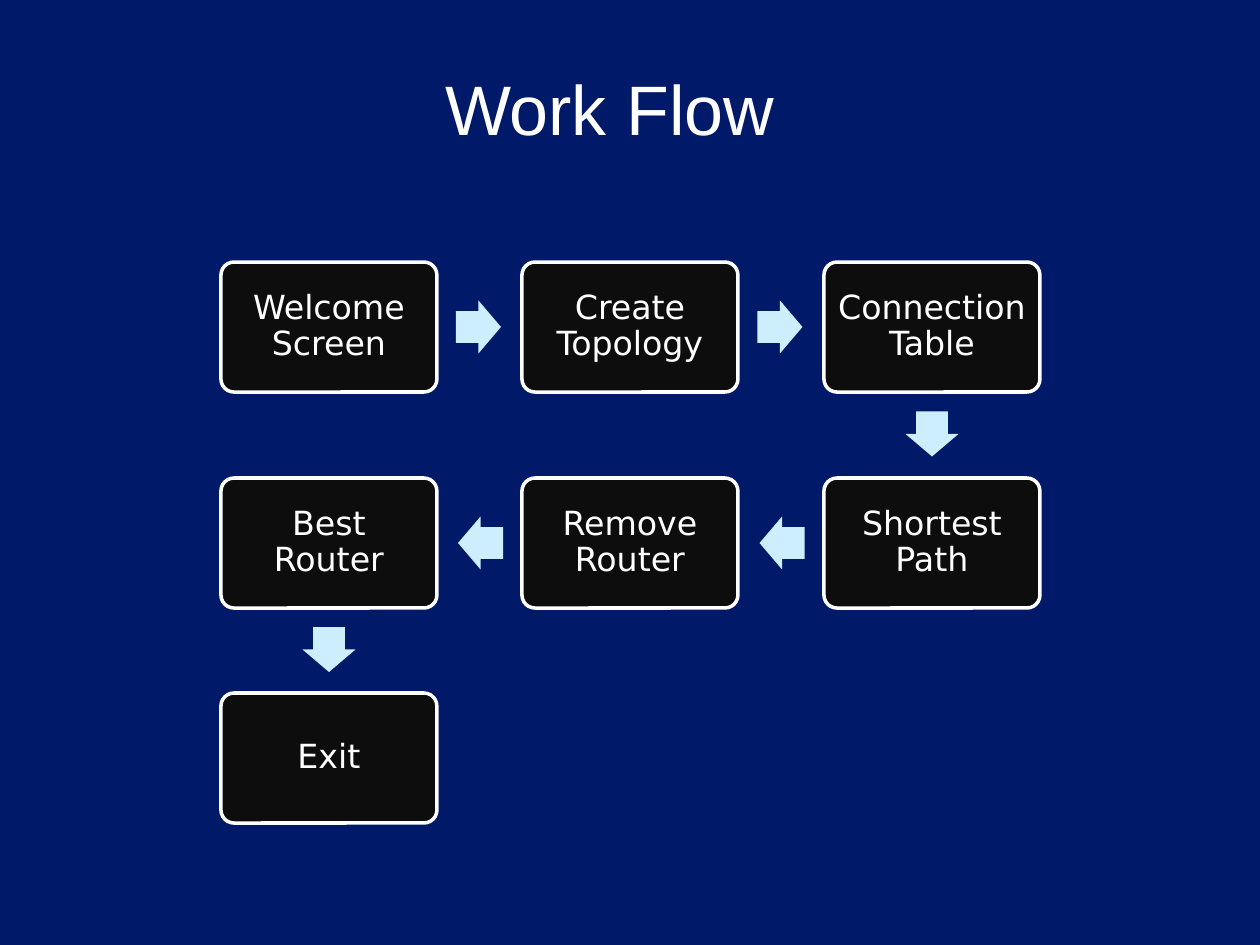
from itertools import pairwise
from math import atan2, cos, degrees, sin

from pptx import Presentation
from pptx.dml.color import RGBColor
from pptx.enum.shapes import MSO_SHAPE
from pptx.enum.text import MSO_ANCHOR, MSO_AUTO_SIZE, PP_ALIGN
from pptx.util import Emu, Pt

NAVY = RGBColor(0x00, 0x19, 0x68)
BLACK = RGBColor(0x0D, 0x0D, 0x0D)
ICE = RGBColor(0xCD, 0xEE, 0xFC)
WHITE = RGBColor(0xFF, 0xFF, 0xFF)

EMU_PER_PX = 914400 / 126
PAGE_WIDTH, PAGE_HEIGHT = 1260, 945
BOX_WIDTH, BOX_HEIGHT = 216, 130
ARROW_LENGTH, ARROW_WIDTH = 45, 53
LEFT, TOP = 221, 262
COLUMN_PITCH, ROW_PITCH = 301.5, 215.5

# Label, column and row, in the order of the flow
STEPS = [
    ("Welcome Screen", 0, 0),
    ("Create Topology", 1, 0),
    ("Connection Table", 2, 0),
    ("Shortest Path", 2, 1),
    ("Remove Router", 1, 1),
    ("Best Router", 0, 1),
    ("Exit", 0, 2),
]


def px(length):
    return Emu(round(length * EMU_PER_PX))


def set_formats(target, formats):
    for name, value in formats.items():
        setattr(target, name, value)


def center(column, row):
    """Middle of a grid cell's box, in px."""
    return (round(LEFT + column * COLUMN_PITCH) + BOX_WIDTH // 2,
            round(TOP + row * ROW_PITCH) + BOX_HEIGHT // 2)


class FlowSlide:
    def __init__(self, deck):
        self.page = deck.slides.add_slide(deck.slide_layouts[5])
        self.page.background.fill.solid()
        self.page.background.fill.fore_color.rgb = NAVY

    def add_text(self, shape, text, font, frame, paragraph):
        set_formats(shape.text_frame, {"word_wrap": True,
                                       "auto_size": MSO_AUTO_SIZE.NONE,
                                       **frame})
        para = shape.text_frame.paragraphs[0]
        set_formats(para, paragraph)
        span = para.add_run()
        span.text = text
        set_formats(span.font, font)
        span.font.color.rgb = WHITE

    def title(self, text):
        title = self.page.shapes.title
        set_formats(title, {"left": px(54), "top": px(57),
                            "width": px(1152), "height": px(99)})
        self.add_text(title, text, {"name": "Arial", "size": Pt(40)},
                      {"vertical_anchor": MSO_ANCHOR.BOTTOM,
                       "margin_left": px(391)},
                      {"alignment": PP_ALIGN.LEFT})

    def shape(self, kind, middle, width, height, color, adjustments):
        x, y = middle
        shape = self.page.shapes.add_shape(
            kind, px(x - width / 2), px(y - height / 2), px(width), px(height))
        for index, value in enumerate(adjustments):
            shape.adjustments[index] = value
        shape.shadow.inherit = False
        shape.fill.solid()
        shape.fill.fore_color.rgb = color
        return shape

    def step(self, label, middle):
        box = self.shape(MSO_SHAPE.ROUNDED_RECTANGLE, middle,
                         BOX_WIDTH, BOX_HEIGHT, BLACK, [0.1])
        box.line.color.rgb = WHITE
        box.line.width = Pt(2)
        sides = ("left", "top", "right", "bottom")
        self.add_text(box, label, {"name": "DejaVu Sans", "size": Pt(19)},
                      {"vertical_anchor": MSO_ANCHOR.MIDDLE,
                       **{f"margin_{side}": px(10) for side in sides}},
                      {"alignment": PP_ALIGN.CENTER, "line_spacing": 0.9})

    def arrow(self, start, end):
        """Block arrow between two boxes, 1 px nearer to the first."""
        angle = atan2(end[1] - start[1], end[0] - start[0])
        middle = ((start[0] + end[0]) / 2 - cos(angle),
                  (start[1] + end[1]) / 2 - sin(angle))
        arrow = self.shape(MSO_SHAPE.RIGHT_ARROW, middle,
                           ARROW_LENGTH, ARROW_WIDTH, ICE, [0.6, 0.5])
        arrow.line.fill.background()
        arrow.rotation = degrees(angle)


def main():
    deck = Presentation()
    deck.slide_width, deck.slide_height = px(PAGE_WIDTH), px(PAGE_HEIGHT)
    slide = FlowSlide(deck)
    slide.title("Work Flow")
    centers = [center(column, row) for _, column, row in STEPS]
    for (label, _, _), middle in zip(STEPS, centers):
        slide.step(label, middle)
    for start, end in pairwise(centers):
        slide.arrow(start, end)
    deck.save("out.pptx")


if __name__ == "__main__":
    main()
